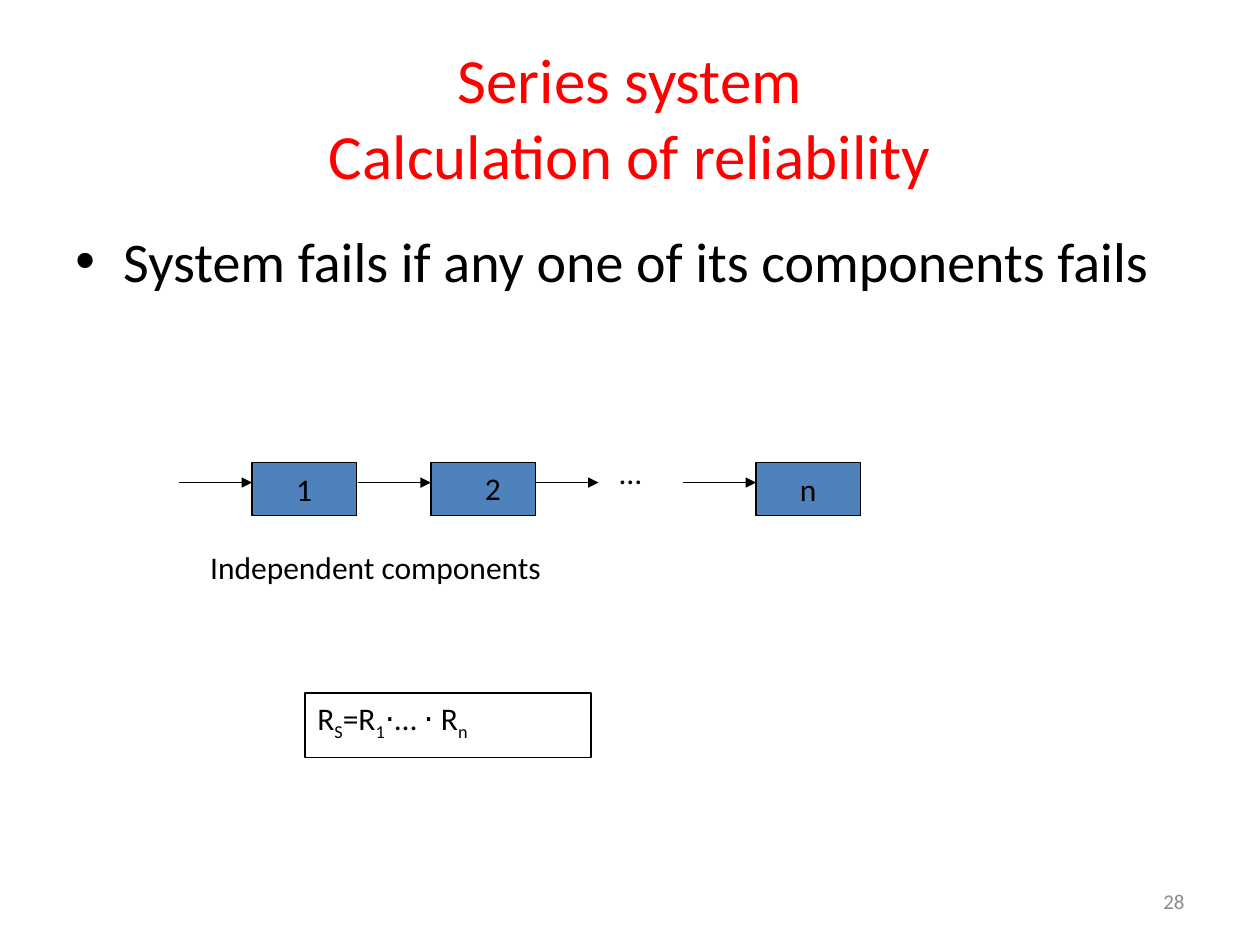
from dataclasses import dataclass

import pptx
import pptx.dml.color
import pptx.enum.shapes
import pptx.enum.text
import pptx.oxml.ns
import pptx.util
from lxml import etree

Inches = pptx.util.Inches
Pt = pptx.util.Pt
RGB = pptx.dml.color.RGBColor.from_string
ALIGN = pptx.enum.text.PP_ALIGN
ANCHOR = pptx.enum.text.MSO_ANCHOR
qn = pptx.oxml.ns.qn


@dataclass(frozen=True)
class Theme:
    font: str = "Calibri"
    ink: str = "000000"
    title: str = "FF0000"
    block: str = "4F81BD"
    muted: str = "8C8C8C"
    title_size: int = 36
    body_size: int = 32
    label_size: int = 18
    number_size: int = 12
    line_width: float = 0.75


THEME = Theme()


def style(paragraph, size, color=THEME.ink, align=ALIGN.LEFT):
    paragraph.alignment = align
    paragraph.font.name = THEME.font
    paragraph.font.size = Pt(size)
    paragraph.font.color.rgb = RGB(color)


def add_text(slide, box, text, size=THEME.label_size, color=THEME.ink,
             align=ALIGN.LEFT, anchor=ANCHOR.TOP, wrap=True):
    frame = slide.shapes.add_textbox(*map(Inches, box)).text_frame
    frame.word_wrap = wrap
    frame.vertical_anchor = anchor
    paragraph = frame.paragraphs[0]
    paragraph.text = text
    style(paragraph, size, color, align)
    return paragraph


def add_rectangle(slide, box, fill=None):
    rectangle = slide.shapes.add_shape(
        pptx.enum.shapes.MSO_SHAPE.RECTANGLE, *map(Inches, box))
    rectangle.shadow.inherit = False
    if fill:
        rectangle.fill.solid()
        rectangle.fill.fore_color.rgb = RGB(fill)
    else:
        rectangle.fill.background()
    rectangle.line.color.rgb = RGB(THEME.ink)
    rectangle.line.width = Pt(THEME.line_width)
    return rectangle


def add_arrow(slide, start, end, y):
    arrow = slide.shapes.add_connector(
        pptx.enum.shapes.MSO_CONNECTOR.STRAIGHT,
        Inches(start), Inches(y), Inches(end), Inches(y))
    arrow.line.color.rgb = RGB(THEME.ink)
    arrow.line.width = Pt(THEME.line_width)
    etree.SubElement(arrow.line._get_or_add_ln(), qn("a:tailEnd"), type="triangle")
    etree.SubElement(arrow._element.spPr, qn("a:effectLst"))


def add_title(slide, box):
    add_text(slide, box, "Series system\vCalculation of reliability",
             THEME.title_size, THEME.title, ALIGN.CENTER, ANCHOR.MIDDLE)


def add_statement(slide, box):
    statement = add_text(slide, box, "System fails if any one of its components fails",
                         THEME.body_size)
    properties = statement._p.get_or_add_pPr()
    properties.set("marL", str(Inches(0.38)))
    properties.set("indent", str(-Inches(0.38)))
    bullet_font = etree.Element(qn("a:buFont"), typeface="Arial")
    bullet = etree.Element(qn("a:buChar"), char="•")
    properties.insert(0, bullet_font)
    properties.insert(1, bullet)


def add_series_diagram(slide, box):
    left, top, width, height = box
    block_width = 0.83
    arrow_y = top + 0.16
    lead = 0.58
    components = {"1": left + lead, "2": left + 2.0, "n": left + width - block_width}

    for label, x in components.items():
        block = add_rectangle(slide, (x, top, block_width, height), THEME.block)
        add_arrow(slide, x - lead, x, arrow_y)
        if label == "2":
            add_text(slide, (x + 0.33, top, 0.67, 0.5), label)
        else:
            frame = block.text_frame
            frame.word_wrap = False
            frame.vertical_anchor = ANCHOR.MIDDLE
            frame.text = label
            style(frame.paragraphs[0], THEME.label_size, align=ALIGN.CENTER)

    second_end = components["2"] + block_width
    add_arrow(slide, second_end, second_end + 0.5, arrow_y)
    add_text(slide, (second_end + 0.57, top - 0.12, 0.53, 0.5), "…", wrap=False)
    add_text(slide, (left + 0.15, top + 0.63, 3.54, 0.5),
             "Independent components", wrap=False)


def add_formula(slide, box):
    frame = add_rectangle(slide, box).text_frame
    frame.word_wrap = True
    frame.vertical_anchor = ANCHOR.TOP
    formula = frame.paragraphs[0]
    for base, subscript in (("R", "S"), ("=R", "1"), ("⋅… ⋅ R", "n")):
        formula.add_run().text = base
        index = formula.add_run()
        index.text = subscript
        index._r.get_or_add_rPr().set("baseline", "-25000")
    style(formula, THEME.label_size)


def add_slide_number(slide, box):
    add_text(slide, box, "28", THEME.number_size, THEME.muted,
             ALIGN.RIGHT, ANCHOR.MIDDLE)


def main():
    deck = pptx.Presentation()
    deck.slide_width = Inches(10)
    deck.slide_height = Inches(7.5)
    slide = deck.slides.add_slide(deck.slide_layouts[6])
    add_title(slide, (0.5, 0.3, 9, 1.25))
    add_statement(slide, (0.5, 1.75, 9, 4.95))
    add_series_diagram(slide, (1.42, 3.67, 5.41, 0.42))
    add_formula(slide, (2.42, 5.5, 2.27, 0.51))
    add_slide_number(slide, (7.17, 6.95, 2.33, 0.4))
    deck.save("out.pptx")


if __name__ == "__main__":
    main()
